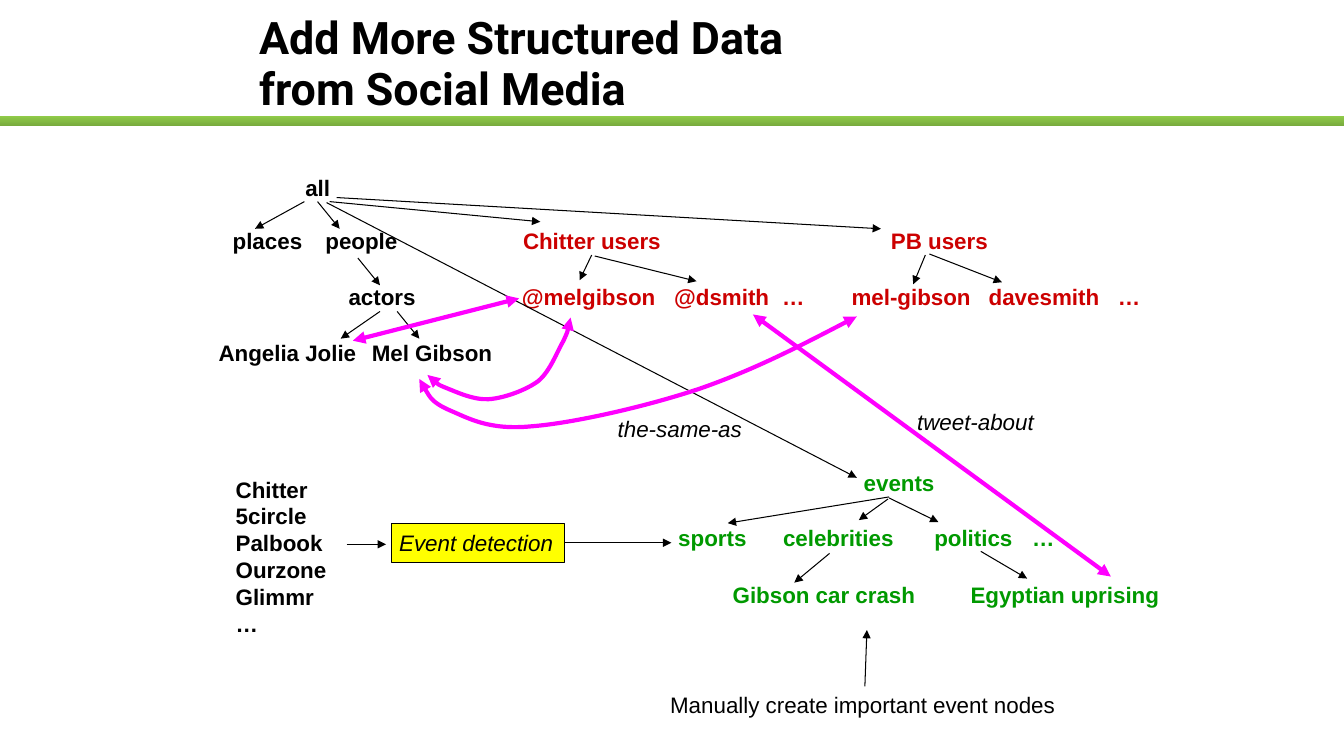
"""Builds a slide that links a topic tree with social media users and detected events."""
from dataclasses import dataclass

from lxml import etree
from pptx import Presentation, util as u
from pptx.dml.color import RGBColor
from pptx.enum import shapes, text
from pptx.oxml.ns import qn

CELL = u.Inches(0.1)
COLUMNS, ROWS = 133.33, 75
LABEL_ROWS = 3.7
ALL_ROW, BRANCH_ROW, NODE_ROW, LEAF_ROW = 16.8, 22, 27.6, 33.2
EVENT_ROW, TOPIC_ROW, STORY_ROW = 46.1, 51.5, 57.2
BLACK, RED, GREEN, MAGENTA, YELLOW = "000000", "CC0000", "009900", "FF00FF", "FFFF00"
Point = tuple[float, float]


@dataclass(frozen=True)
class Label:
    """Text at a column and row, with tab stops in columns."""
    words: str
    column: float
    row: float
    columns: float
    color: str = BLACK
    bold: bool = True
    italic: bool = False
    rows: float = LABEL_ROWS
    tabs: tuple[float, ...] = ()


@dataclass(frozen=True)
class Arrow:
    """Straight arrow between two grid points."""
    start: Point
    end: Point
    color: str = BLACK
    width: float = 0.75
    double: bool = False


@dataclass(frozen=True)
class Curve:
    """Double arrow along cubic curves, three points to each."""
    start: Point
    points: tuple[Point, ...]


LABELS = [
    Label("all", 29.3, ALL_ROW, 4.5),
    Label("places", 22.1, BRANCH_ROW, 8.9),
    Label("people", 31.3, BRANCH_ROW, 9.2),
    Label("actors", 33.6, NODE_ROW, 8.7),
    Label("Angelia Jolie", 20.7, LEAF_ROW, 15.7),
    Label("Mel Gibson", 35.9, LEAF_ROW, 14),
    Label("Chitter users", 50.9, BRANCH_ROW, 15.9, RED),
    Label("@melgibson\t@dsmith\t…", 50.8, NODE_ROW, 30.7, RED, tabs=(15.1, 25.8)),
    Label("PB users", 87.4, BRANCH_ROW, 12.5, RED),
    Label("mel-gibson\tdavesmith\t…", 83.5, NODE_ROW, 30.8, RED, tabs=(13.6, 26.4)),
    Label("events", 84.7, EVENT_ROW, 9, GREEN),
    Label("sports", 66.3, TOPIC_ROW, 8.8, GREEN),
    Label("celebrities", 76.7, TOPIC_ROW, 13, GREEN),
    Label("politics\t…", 91.7, TOPIC_ROW, 13.9, GREEN, tabs=(9.7,)),
    Label("Gibson car crash", 71.7, STORY_ROW, 20.2, GREEN),
    Label("Egyptian uprising", 95.3, STORY_ROW, 20.8, GREEN),
    Label("Chitter\n5circle\nPalbook\nOurzone\nGlimmr\n…", 22.4, 46.7, 12.4, rows=17),
    Label("the-same-as", 60.3, 40.7, 14.4, bold=False, italic=True),
    Label("tweet-about", 90, 40, 13.6, bold=False, italic=True),
    Label("Manually create important event nodes", 65.5, 68.1, 40.7, bold=False),
]
DETECTION = Label("Event detection", 38.8, 51.9, 17.2, bold=False, italic=True, rows=3.9)
DETECTED = Arrow((56, 53.85), (66.6, 53.85))
ARROWS = [
    Arrow((30.2, 20), (25.3, 22.7)),
    Arrow((31.5, 20), (33.7, 22.7)),
    Arrow((35.5, 25.6), (37.7, 28.3)),
    Arrow((37.7, 30.9), (33.8, 33.6)),
    Arrow((39.4, 30.9), (41.6, 33.6)),
    Arrow((32.7, 20), (53.6, 22)),
    Arrow((33.4, 19.6), (87.4, 22.7)),
    Arrow((32.4, 20.1), (85, 47.4)),
    Arrow((58.7, 25.3), (57.5, 27.8)),
    Arrow((59, 25.4), (69.1, 27.9)),
    Arrow((91.8, 25.3), (90.6, 28.2)),
    Arrow((92.2, 25.2), (99.4, 28)),
    Arrow((88.2, 49.3), (72.2, 51.9)),
    Arrow((88.1, 49.5), (85.2, 51.6)),
    Arrow((88.2, 49.4), (93.1, 51.8)),
    Arrow((82.3, 54.9), (78.8, 57.8)),
    Arrow((97.3, 54.7), (101.9, 57.4)),
    Arrow((34.4, 54), (38.3, 54)),
    Arrow((85.8, 68.1), (86, 62.5)),
    Arrow((35, 33.8), (51.5, 29.6), MAGENTA, 3, True),
    Arrow((74.7, 31.2), (110.2, 57.2), MAGENTA, 3, True),
]
CURVES = [
    Curve((42.4, 37.2), (
        (42.8, 37.6), (43.3, 38.1), (44.3, 38.5), (45.3, 38.9), (47, 39.7), (48.5, 39.6),
        (50, 39.5), (52.2, 38.7), (53.4, 37.8), (54.6, 36.8), (55.3, 34.8), (55.9, 33.8),
        (56.4, 32.7), (56.5, 32.1), (56.6, 31.5))),
    Curve((41.6, 37.6), (
        (42.2, 38.7), (42.8, 39.9), (44.6, 40.7), (46.5, 41.5), (48.5, 42.7), (52.7, 42.3),
        (56.8, 42), (64.3, 40.3), (69.6, 38.5), (75, 36.6), (80, 34), (85, 31.4))),
]


def grid(*cells: float) -> list[u.Emu]:
    """Turns columns and rows into lengths."""
    return [u.Emu(round(cell * CELL)) for cell in cells]


def rgb(color: str) -> RGBColor:
    """Turns a hex string into a colour."""
    return RGBColor.from_string(color)


def style_line(shape, color: str, width: float, ends: tuple[str, ...]) -> None:
    """Sets a line's colour, width and arrowheads."""
    shape.line.color.rgb = rgb(color)
    shape.line.width = u.Pt(width)
    outline = shape.line._get_or_add_ln()
    for end in ends:
        etree.SubElement(outline, qn(f"a:{end}"), type="triangle")


def write(box, label: Label) -> None:
    """Writes and formats a label in a box."""
    frame = box.text_frame
    frame.text = label.words
    frame.word_wrap = bool(label.tabs)
    for para in frame.paragraphs:
        para.alignment = text.PP_ALIGN.LEFT
        para.line_spacing = u.Pt(19.2)
        if label.tabs:
            stops = etree.SubElement(para._p.get_or_add_pPr(), qn("a:tabLst"))
            for stop in grid(*label.tabs):
                etree.SubElement(stops, qn("a:tab"), pos=str(int(stop)), algn="l")
        for span in para.runs:
            span.font.name, span.font.size = "Arial", u.Pt(16)
            span.font.bold, span.font.italic = label.bold, label.italic
            span.font.color.rgb = rgb(label.color)


def add_label(page, label: Label) -> None:
    """Adds a text box."""
    box = page.shapes.add_textbox(*grid(label.column, label.row, label.columns, label.rows))
    write(box, label)
    box.text_frame.auto_size = text.MSO_AUTO_SIZE.SHAPE_TO_FIT_TEXT


def add_rectangle(page, column: float, row: float, columns: float, rows: float):
    """Adds a rectangle without a shadow."""
    box = page.shapes.add_shape(shapes.MSO_SHAPE.RECTANGLE, *grid(column, row, columns, rows))
    box.shadow.inherit = False
    return box


def add_arrow(page, arrow: Arrow):
    """Adds a straight arrow."""
    line = page.shapes.add_connector(
        shapes.MSO_CONNECTOR.STRAIGHT, *grid(*arrow.start, *arrow.end))
    ends = ("headEnd", "tailEnd") if arrow.double else ("tailEnd",)
    style_line(line, arrow.color, arrow.width, ends)
    etree.SubElement(line._element.spPr, qn("a:effectLst"))
    return line


def add_curve(page, curve: Curve) -> None:
    """Adds a curved double arrow."""
    builder = page.shapes.build_freeform(*grid(*curve.start))
    builder.add_line_segments([tuple(grid(*point)) for point in curve.points], close=False)
    shape = builder.convert_to_shape()
    shape.fill.background()
    shape.shadow.inherit = False
    style_line(shape, MAGENTA, 3, ("headEnd", "tailEnd"))
    outline = next(shape._element.iter(qn("a:path")))
    for index, segment in enumerate(outline.findall(qn("a:lnTo"))):
        if index % 3 == 0:
            bend = etree.SubElement(outline, qn("a:cubicBezTo"))
        bend.append(segment[0])
        outline.remove(segment)


def add_title(page) -> None:
    """Places the title and the green bar under it."""
    bar = add_rectangle(page, 0, 11.5, COLUMNS, 1)
    bar.line.fill.background()
    bar.fill.gradient()
    bar.fill.gradient_angle = 270
    for stop, color in zip(bar.fill.gradient_stops, ("90CB49", "78AB3E")):
        stop.color.rgb = rgb(color)
    title = page.shapes.title
    title.left, title.top, title.width, title.height = grid(24.7, 0.2, 87, 12.5)
    frame = title.text_frame
    frame.text = "Add More Structured Data\vfrom Social Media"
    frame.auto_size = text.MSO_AUTO_SIZE.NONE
    frame.vertical_anchor = text.MSO_ANCHOR.MIDDLE
    para = frame.paragraphs[0]
    para.alignment, para.line_spacing = text.PP_ALIGN.LEFT, 0.95
    for span in para.runs:
        span.font.name, span.font.size, span.font.bold = "Roboto", u.Pt(32), True
        span.font.color.rgb = rgb(BLACK)


def add_detection(page) -> None:
    """Adds the event detection step and its outgoing arrow."""
    box = add_rectangle(
        page, DETECTION.column, DETECTION.row, DETECTION.columns, DETECTION.rows)
    box.fill.solid()
    box.fill.fore_color.rgb = rgb(YELLOW)
    style_line(box, BLACK, 0.75, ())
    write(box, DETECTION)
    box.text_frame.margin_left = box.text_frame.margin_right = grid(0.8)[0]
    add_arrow(page, DETECTED).begin_connect(box, 3)


def main() -> None:
    """Builds and saves the deck."""
    deck = Presentation()
    deck.slide_width, deck.slide_height = grid(COLUMNS, ROWS)
    page = deck.slides.add_slide(deck.slide_layouts[5])
    add_title(page)
    add_detection(page)
    for draw, items in ((add_label, LABELS), (add_arrow, ARROWS), (add_curve, CURVES)):
        for item in items:
            draw(page, item)
    deck.save("out.pptx")


if __name__ == "__main__":
    main()
